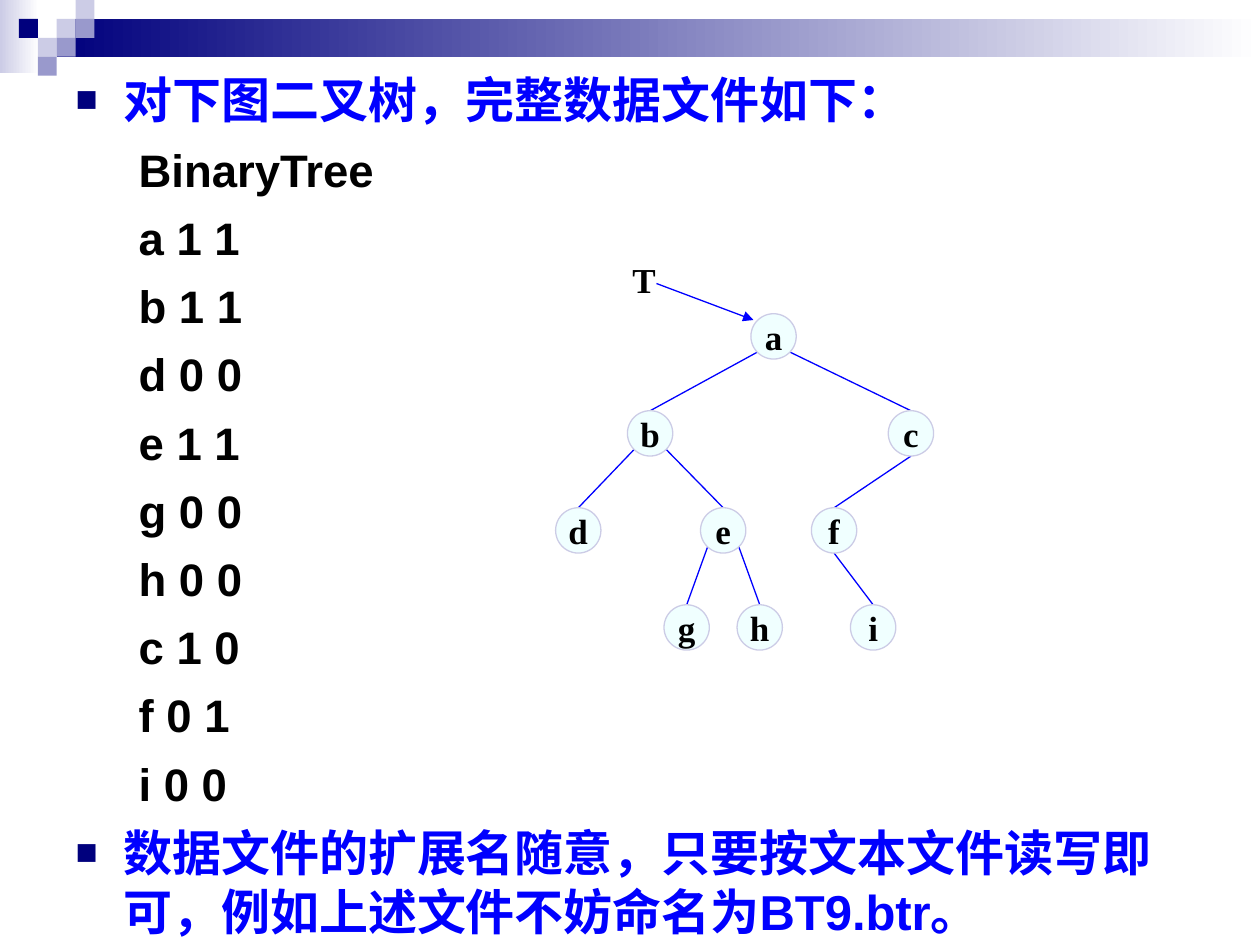
"""Build a slide that shows a binary tree beside its data file."""
from dataclasses import dataclass

from lxml import etree
from pptx import Presentation
from pptx.dml.color import RGBColor
from pptx.enum.shapes import MSO_CONNECTOR, MSO_SHAPE
from pptx.enum.text import MSO_ANCHOR, MSO_AUTO_SIZE, PP_ALIGN
from pptx.oxml.ns import qn
from pptx.util import Inches, Pt

RECTANGLE, OVAL = MSO_SHAPE.RECTANGLE, MSO_SHAPE.OVAL
STRAIGHT = MSO_CONNECTOR.STRAIGHT
TOP, MIDDLE = MSO_ANCHOR.TOP, MSO_ANCHOR.MIDDLE
CENTER = PP_ALIGN.CENTER
NO_AUTOFIT = MSO_AUTO_SIZE.NONE


@dataclass(frozen=True)
class Theme:
    """Colours, fonts and type sizes of the slide."""
    navy: str = "00007D"
    blue: str = "0000FF"
    violet: str = "9999CC"
    lavender: str = "CCCCE6"
    azure: str = "F0FFFF"
    white: str = "FFFFFF"
    black: str = "000000"
    body_font: str = "Arial"
    tree_font: str = "Times New Roman"
    heading_size: float = 28
    data_size: float = 26
    tree_size: float = 20
    line_width: float = 0.75


THEME = Theme()
TILE = 0.15
TILES = [
    (3, 1, THEME.lavender), (4, 0, THEME.lavender), (4, 1, THEME.violet),
    (2, 2, THEME.lavender), (1, 1, THEME.navy), (3, 2, THEME.violet),
    (2, 3, THEME.violet),
]
INTRODUCTION = "对下图二叉树，完整数据文件如下："
DATA_LINES = ["BinaryTree", "a 1 1", "b 1 1", "d 0 0", "e 1 1", "g 0 0",
              "h 0 0", "c 1 0", "f 0 1", "i 0 0"]
REMARK = "数据文件的扩展名随意，只要按文本文件读写即可，例如上述文件不妨命名为BT9.btr。"

NODE_SIZE = 0.36
ROOT_Y, LEVEL_GAP = 2.67, 0.77
NODES = {"a": (6.14, 0), "b": (5.16, 1), "c": (7.23, 1),
         "d": (4.59, 2), "e": (5.74, 2), "f": (6.62, 2),
         "g": (5.45, 3), "h": (6.03, 3), "i": (6.93, 3)}
CHILDREN = {"a": "bc", "b": "de", "c": "f", "e": "gh", "f": "i"}


def color(value):
    """Return the RGB colour for a hexadecimal value."""
    return RGBColor.from_string(value)


def style_text(paragraph, name, size, value):
    """Set a bold font on a whole paragraph."""
    font = paragraph.font
    font.name, font.size, font.bold = name, Pt(size), True
    font.color.rgb = color(value)


def add_block(slide, left, top, width, height, fill, fade_to=None):
    """Add a borderless rectangle, plain or fading to a second colour."""
    block = slide.shapes.add_shape(
        RECTANGLE, Inches(left), Inches(top), Inches(width), Inches(height))
    block.shadow.inherit = False
    block.line.fill.background()
    if fade_to:
        block.fill.gradient()
        block.fill.gradient_angle = 0
        for stop, value in zip(block.fill.gradient_stops, (fill, fade_to)):
            stop.color.rgb = color(value)
    else:
        block.fill.solid()
        block.fill.fore_color.rgb = color(fill)


def add_header(slide):
    """Add the fading bands and the mosaic of tiles."""
    add_block(slide, 0, 0, 0.31, 0.58, THEME.lavender, THEME.white)
    add_block(slide, 0.45, 0.15, 9.55, 0.3, THEME.navy, THEME.white)
    for column, row, fill in TILES:
        add_block(slide, column * TILE, row * TILE, TILE, TILE, fill)


def set_bullet(paragraph, margin, indent, character=None):
    """Set the hanging indent and a square bullet, or no bullet."""
    properties = paragraph._p.get_or_add_pPr()
    properties.set("marL", str(Inches(margin)))
    properties.set("indent", str(Inches(indent)))
    if character is None:
        etree.SubElement(properties, qn("a:buNone"))
        return
    bullet_color = etree.SubElement(properties, qn("a:buClr"))
    etree.SubElement(bullet_color, qn("a:srgbClr"), val=THEME.navy)
    etree.SubElement(properties, qn("a:buSzPct"), val="75000")
    etree.SubElement(properties, qn("a:buFont"), typeface=THEME.body_font)
    etree.SubElement(properties, qn("a:buChar"), char=character)


def fill_heading(paragraph, text, space_before):
    """Write a blue bulleted statement."""
    paragraph.text = text
    paragraph.space_before = Pt(space_before)
    set_bullet(paragraph, 0.38, -0.38, "■")
    style_text(paragraph, THEME.body_font, THEME.heading_size, THEME.blue)


def fill_data_line(paragraph, text):
    """Write one line of the data file."""
    paragraph.text = text
    paragraph.level = 1
    paragraph.space_before = Pt(7.8)
    set_bullet(paragraph, 0.81, -0.31)
    style_text(paragraph, THEME.body_font, THEME.data_size, THEME.black)


def fill_body(body):
    """Place the body placeholder and write the list."""
    body.left, body.top = Inches(0.5), Inches(0.5)
    body.width, body.height = Inches(9), Inches(7)
    frame = body.text_frame
    frame.auto_size, frame.vertical_anchor = NO_AUTOFIT, TOP
    fill_heading(frame.paragraphs[0], INTRODUCTION, 0)
    for line in DATA_LINES:
        fill_data_line(frame.add_paragraph(), line)
    fill_heading(frame.add_paragraph(), REMARK, 7)


def node_center(name):
    """Return the centre of a tree node."""
    x, level = NODES[name]
    return x, ROOT_Y + level * LEVEL_GAP


def add_node(slide, name):
    """Add a round tree node with its letter."""
    x, y = node_center(name)
    radius = NODE_SIZE / 2
    node = slide.shapes.add_shape(
        OVAL, Inches(x - radius), Inches(y - radius),
        Inches(NODE_SIZE), Inches(NODE_SIZE))
    node.shadow.inherit = False
    node.fill.solid()
    node.fill.fore_color.rgb = color(THEME.azure)
    node.line.color.rgb = color(THEME.lavender)
    node.line.width = Pt(THEME.line_width)
    frame = node.text_frame
    frame.margin_left = frame.margin_right = 0
    frame.margin_top = frame.margin_bottom = 0
    frame.word_wrap, frame.vertical_anchor = False, MIDDLE
    paragraph = frame.paragraphs[0]
    paragraph.text, paragraph.alignment = name, CENTER
    style_text(paragraph, THEME.tree_font, THEME.tree_size, THEME.black)


def add_line(slide, start, end, arrow=False):
    """Add a straight blue line, with an arrowhead if asked."""
    line = slide.shapes.add_connector(
        STRAIGHT, *(Inches(length) for length in (*start, *end)))
    line.line.color.rgb = color(THEME.blue)
    line.line.width = Pt(THEME.line_width)
    if arrow:
        etree.SubElement(line.line._get_or_add_ln(), qn("a:tailEnd"), type="triangle")
    etree.SubElement(line._element.spPr, qn("a:effectLst"))


def add_edges(slide, parent):
    """Join a node to the tops of its children."""
    x, y = node_center(parent)
    children = CHILDREN[parent]
    starts = [(x - 0.12, y + 0.12), (x + 0.12, y + 0.12)]
    if len(children) == 1:
        starts = [(x, y + NODE_SIZE / 2)]
    for start, child in zip(starts, children):
        child_x, child_y = node_center(child)
        add_line(slide, start, (child_x, child_y - NODE_SIZE / 2))


def add_root_pointer(slide):
    """Add the letter T and its arrow to the root."""
    label = slide.shapes.add_textbox(Inches(4.92), Inches(2), Inches(0.46), Inches(0.44))
    label.text_frame.word_wrap = True
    paragraph = label.text_frame.paragraphs[0]
    paragraph.text = "T"
    style_text(paragraph, THEME.tree_font, THEME.tree_size, THEME.black)
    add_line(slide, (5.21, 2.25), (5.98, 2.54), arrow=True)


def main():
    """Build and save the presentation."""
    presentation = Presentation()
    presentation.slide_width, presentation.slide_height = Inches(10), Inches(7.5)
    slide = presentation.slides.add_slide(presentation.slide_layouts[1])
    title = slide.shapes.title._element
    title.getparent().remove(title)
    add_header(slide)
    fill_body(slide.placeholders[1])
    for parent in CHILDREN:
        add_edges(slide, parent)
    for name in NODES:
        add_node(slide, name)
    add_root_pointer(slide)
    presentation.save("out.pptx")


if __name__ == "__main__":
    main()
